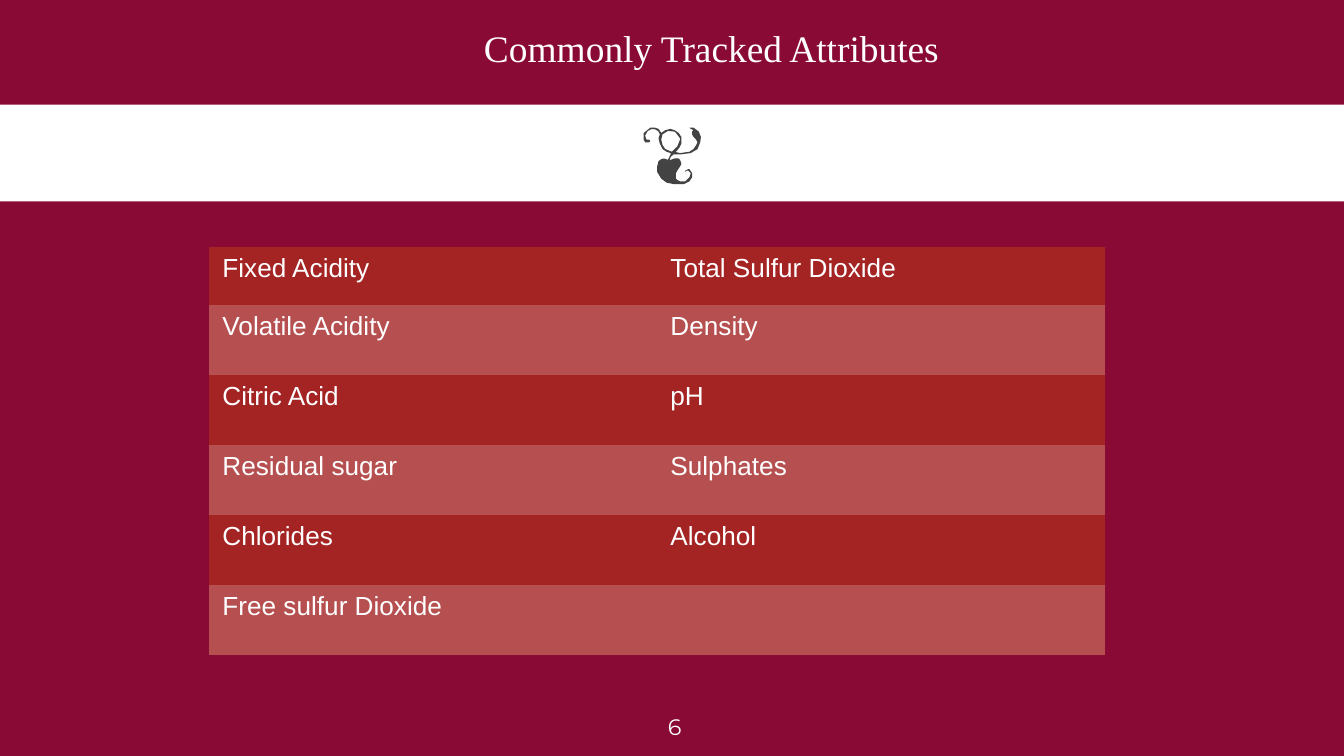
from lxml.etree import SubElement
from pptx import Presentation
from pptx.dml.color import RGBColor
from pptx.enum.shapes import MSO_SHAPE as Shape
from pptx.enum.text import MSO_ANCHOR as Anchor, MSO_AUTO_SIZE as AutoSize, PP_ALIGN as Align
from pptx.oxml.ns import qn
from pptx.util import Inches, Pt

WINE, WHITE, LEAF_GREY = "8A0A36", "FFFFFF", "434343"
ROW_COLOURS = ("A42424", "B65050")
ATTRIBUTES = [
    ("Fixed Acidity", "Total Sulfur Dioxide"),
    ("Volatile Acidity", "Density"),
    ("Citric Acid", "pH"),
    ("Residual sugar", "Sulphates"),
    ("Chlorides", "Alcohol"),
    ("Free sulfur Dioxide", ""),
]
LEAF_WIDTH = 44
LEAF_OUTLINE = [
    (28, 21), (23, 21), (21, 23), (20, 26), (21, 25), (24, 24), (27, 24), (28, 25),
    (29, 28), (28, 30), (26, 33), (25, 35), (25, 39), (26, 40), (28, 41), (32, 41),
    (35, 38), (36, 35), (34, 33), (33, 33), (32, 34), (32, 33), (34, 32), (35, 32),
    (37, 35), (37, 38), (35, 41), (31, 43), (27, 43), (23, 43), (18, 42), (14, 39),
    (11, 34), (11, 30), (12, 26), (14, 24.5), (16, 24), (19, 25), (21, 21), (21, 20),
    (18, 19), (15, 17), (13, 13), (12, 9), (13, 6), (12, 4), (10, 2.5), (7, 2),
    (4, 3.5), (2, 7), (3, 10), (5, 10), (6, 11), (5, 12), (2, 12), (1, 10),
    (1, 5), (6, 1), (9, 1), (12, 2), (14, 5), (17, 3), (21, 2), (24, 3),
    (27, 5), (29, 8), (29, 13), (27.5, 16), (25, 19), (24, 19), (28, 20), (35, 19),
    (38, 17), (40, 14), (41, 12), (40, 10), (38, 8), (37, 6), (37, 4), (38, 3),
    (36, 2), (35, 1), (38, 1), (42, 4), (43.5, 8), (43, 12), (41, 17), (36, 20),
]
LEAF_HOLE = [
    (28, 10), (28, 9), (25, 5), (24, 4), (19, 3.5), (15, 6),
    (14, 10), (15, 14), (17, 17), (22, 19), (23, 18), (26, 15),
]


def colour(value):
    """Turn a hex string into a colour."""
    return RGBColor.from_string(value)


def paint(shape, value):
    """Give a shape a flat fill with no line or shadow."""
    shape.fill.solid()
    shape.fill.fore_color.rgb = colour(value)
    shape.line.fill.background()
    shape.shadow.inherit = False


def write(frame, text, font, size, align=Align.LEFT):
    """Set one paragraph of white text."""
    frame.text = text
    para = frame.paragraphs[0]
    para.alignment = align
    para.font.size = Pt(size)
    for span in para.runs:
        span.font.name = font
        span.font.size = Pt(size)
        span.font.color.rgb = colour(WHITE)


def add_title(page, box):
    """Place the slide title."""
    title = page.shapes.title
    title.left, title.top, title.width, title.height = box
    frame = title.text_frame
    write(frame, " Commonly Tracked Attributes", "Times New Roman", 20, Align.CENTER)
    frame.vertical_anchor = Anchor.TOP
    frame.word_wrap = True
    frame.auto_size = AutoSize.SHAPE_TO_FIT_TEXT


def add_leaf(page, box):
    """Draw the curling leaf to the width of its box."""
    left, top, width, _ = box
    unit = width / LEAF_WIDTH
    outline, hole = (
        [(left + x * unit, top + y * unit) for x, y in points]
        for points in (LEAF_OUTLINE, LEAF_HOLE)
    )
    builder = page.shapes.build_freeform(*outline[0])
    builder.add_line_segments(outline[1:], close=True)
    builder.move_to(*hole[0])
    builder.add_line_segments(hole[1:], close=True)
    paint(builder.convert_to_shape(), LEAF_GREY)


def add_band(page, box):
    """Place the white band with the leaf in its middle."""
    left, top, width, height = box
    paint(page.shapes.add_shape(Shape.RECTANGLE, *box), WHITE)
    size = Inches(0.44)
    add_leaf(page, (left + (width - size) // 2, top + Inches(0.16), size, size))


def fill_cell(cell, value):
    """Give a table cell a flat fill and no borders."""
    properties = cell._tc.get_or_add_tcPr()
    for side in ("a:lnL", "a:lnR", "a:lnT", "a:lnB"):
        SubElement(SubElement(properties, qn(side), w="0"), qn("a:noFill"))
    cell.fill.solid()
    cell.fill.fore_color.rgb = colour(value)


def add_attributes(page, box):
    """Place the striped table of attributes."""
    table = page.shapes.add_table(len(ATTRIBUTES), 2, *box).table
    table.first_row = table.horz_banding = False
    first_height = Inches(0.43)
    other_height = (box[3] - first_height) // (len(ATTRIBUTES) - 1)
    for index, names in enumerate(ATTRIBUTES):
        table.rows[index].height = other_height if index else first_height
        for column, name in enumerate(names):
            cell = table.cell(index, column)
            fill_cell(cell, ROW_COLOURS[index % 2])
            write(cell.text_frame, name, "Arial", 14)


def add_page_number(page, box):
    """Place the page number at the foot."""
    frame = page.shapes.add_textbox(*box).text_frame
    frame.word_wrap = True
    frame.vertical_anchor = Anchor.MIDDLE
    frame.margin_top = frame.margin_bottom = Inches(0.1)
    write(frame, "6", "Montserrat", 12, Align.CENTER)


def main():
    """Build and save the slide."""
    deck = Presentation()
    deck.slide_width = Inches(10)
    deck.slide_height = deck.slide_width * 9 // 16
    page = deck.slides.add_slide(deck.slide_layouts[5])
    page.background.fill.solid()
    page.background.fill.fore_color.rgb = colour(WINE)

    def area(left, top, width, height):
        """Turn percentages of the slide's size into a box."""
        across, down = deck.slide_width / 100, deck.slide_height / 100
        return int(left * across), int(top * down), int(width * across), int(height * down)

    add_band(page, area(0, 13.85, 100, 12.8))
    add_page_number(page, area(0.4, 92.3, 99.6, 7.7))
    add_attributes(page, area(15.55, 32.65, 66.67, 54))
    add_title(page, area(13, 2.5, 79.2, 7.8))
    deck.save("out.pptx")


if __name__ == "__main__":
    main()
